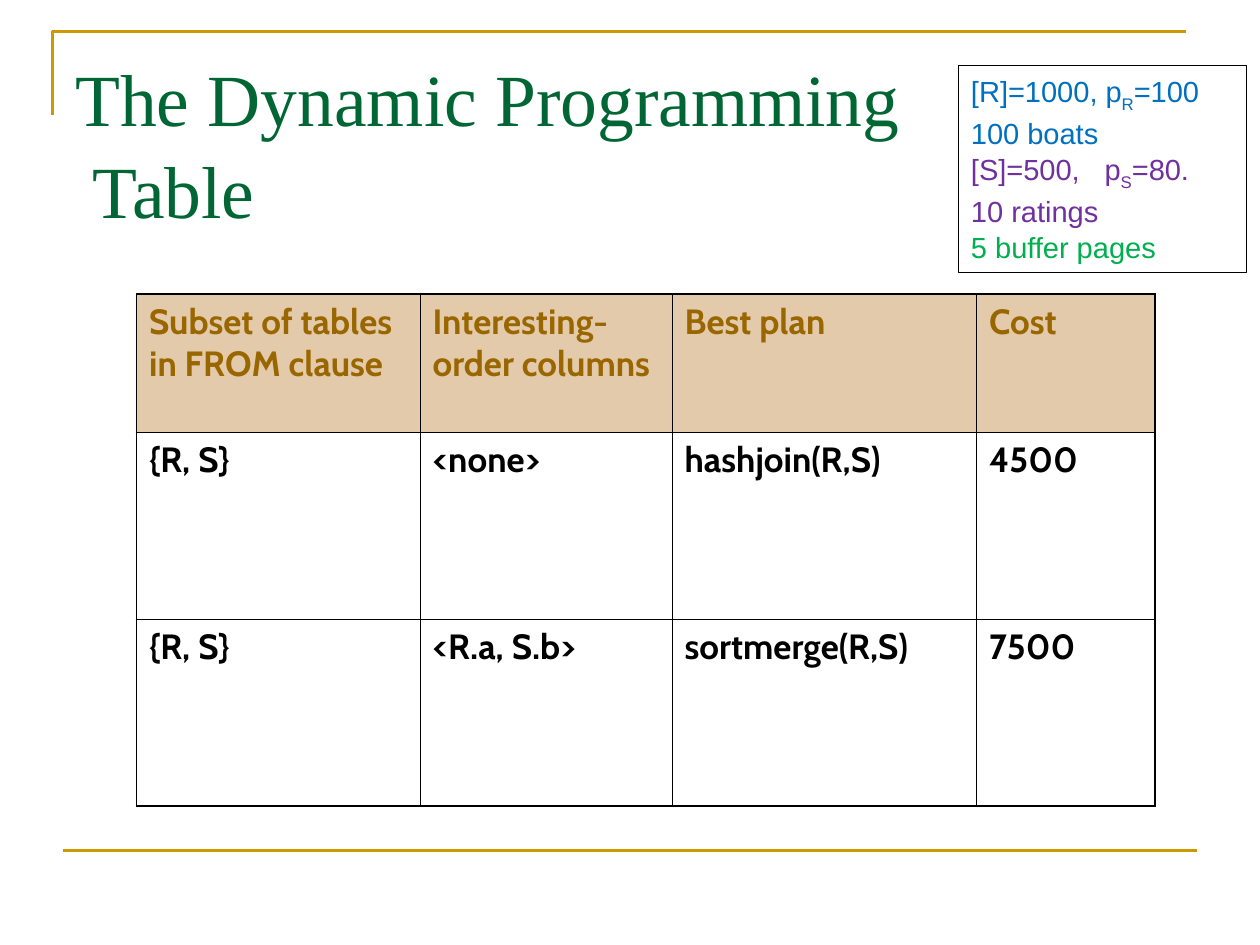
from collections import namedtuple

from lxml import etree
from pptx import Presentation
from pptx.dml.color import RGBColor
from pptx.enum.shapes import MSO_CONNECTOR, MSO_SHAPE
from pptx.enum.text import MSO_ANCHOR, PP_ALIGN
from pptx.oxml.ns import qn
from pptx.util import Inches, Pt

LEFT, TOP = PP_ALIGN.LEFT, MSO_ANCHOR.TOP
STRAIGHT, RECTANGLE = MSO_CONNECTOR.STRAIGHT, MSO_SHAPE.RECTANGLE

COLORS = {
    "gold": "CC9900", "title": "006633", "header": "996600", "tan": "E2CAAA",
    "black": "000000", "blue": "0070C0", "purple": "7030A0", "green": "00B050",
}
TITLE_FONT = {"name": "Times New Roman", "size": Pt(42), "bold": False}
TABLE_FONT = {"name": "Cabin", "size": Pt(20), "bold": True}
FACTS_FONT = {"name": "Arial", "size": Pt(16.6), "bold": False}
FRAME_FORMAT = {
    "word_wrap": True, "vertical_anchor": TOP,
    "margin_left": Inches(0.1), "margin_right": Inches(0.1),
    "margin_top": Inches(0.05), "margin_bottom": Inches(0.05),
}
THIN, THICK = 0.45, 1.08
COLUMN_WIDTHS = [27, 24, 29, 17]
ROW_HEIGHTS = [13.2, 17.8, 17.8]
PLANS = [
    ["Subset of tables in FROM clause", "Interesting-order columns", "Best plan", "Cost"],
    ["{R, S}", "<none>", "hashjoin(R,S)", "4500"],
    ["{R, S}", "<R.a, S.b>", "sortmerge(R,S)", "7500"],
]
FACTS = [
    ("blue", ["[R]=1000, p", "R", "=100"]),
    ("blue", ["100 boats"]),
    ("purple", ["[S]=500,\tp", "S", "=80."]),
    ("purple", ["10 ratings"]),
    ("green", ["5 buffer pages"]),
]
Box = namedtuple("Box", "left top width height")


def grid(units):
    """Convert grid units, 120 columns by 90 rows on the slide, to a length."""
    return Inches(units / 12)


def place(box):
    """Convert a box in grid units to slide lengths."""
    return [grid(value) for value in box]


def color(name):
    """Return a named colour."""
    return RGBColor.from_string(COLORS[name])


def apply_format(target, values):
    """Set each attribute in a dict of format values."""
    for name, value in values.items():
        setattr(target, name, value)


def style_line(line, name, width):
    """Give a line its colour and width."""
    line.color.rgb = color(name)
    line.width = Pt(width)


def add_text(paragraph, text, font, name):
    """Append a formatted run to a paragraph."""
    run = paragraph.add_run()
    run.text = text
    apply_format(run.font, font)
    run.font.color.rgb = color(name)
    return run


def add_frame_lines(slide, box):
    """Draw the corner bracket and the bottom rule."""
    right, bottom = box.left + box.width, box.top + box.height
    builder = slide.shapes.build_freeform(grid(box.left), grid(box.top + 8))
    builder.add_line_segments(
        [(grid(box.left), grid(box.top)), (grid(right), grid(box.top))], close=False)
    bracket = builder.convert_to_shape()
    bracket.shadow.inherit = False
    bracket.fill.background()
    rule = slide.shapes.add_connector(
        STRAIGHT, grid(box.left + 1), grid(bottom), grid(right + 1), grid(bottom))
    etree.SubElement(rule.element.spPr, qn("a:effectLst"))
    for shape in (bracket, rule):
        style_line(shape.line, "gold", 1.5)


def add_title(slide, box):
    """Write the slide title."""
    frame = slide.shapes.add_textbox(*place(box)).text_frame
    apply_format(frame, FRAME_FORMAT)
    paragraph = frame.paragraphs[0]
    apply_format(paragraph, {"alignment": LEFT, "line_spacing": 1.05})
    add_text(paragraph, "The Dynamic Programming", TITLE_FONT, "title")
    paragraph.add_line_break()
    add_text(paragraph, " Table", TITLE_FONT, "title")


def set_borders(cell, widths):
    """Draw the left, right, top and bottom borders of a cell."""
    properties = cell._tc.get_or_add_tcPr()
    for position, (side, width) in enumerate(zip("LRTB", widths)):
        border = etree.Element(qn(f"a:ln{side}"), w=str(Pt(width)))
        fill = etree.SubElement(border, qn("a:solidFill"))
        etree.SubElement(fill, qn("a:srgbClr"), val=COLORS["black"])
        properties.insert(position, border)


def add_plan_table(slide, box):
    """Build the table of best plans and costs."""
    last_row, last_column = len(ROW_HEIGHTS) - 1, len(COLUMN_WIDTHS) - 1
    table = slide.shapes.add_table(last_row + 1, last_column + 1, *place(box)).table
    apply_format(table, {"first_row": False, "horz_banding": False})
    for column, width in zip(table.columns, COLUMN_WIDTHS):
        column.width = grid(width)
    for row, height in zip(table.rows, ROW_HEIGHTS):
        row.height = grid(height)
    for i, texts in enumerate(PLANS):
        for j, text in enumerate(texts):
            cell = table.cell(i, j)
            apply_format(cell, {k: v for k, v in FRAME_FORMAT.items() if k != "word_wrap"})
            if i == 0:
                cell.fill.solid()
                cell.fill.fore_color.rgb = color("tan")
            else:
                cell.fill.background()
            outer = [j == 0, j == last_column, i == 0, i == last_row]
            set_borders(cell, [THICK if edge else THIN for edge in outer])
            paragraph = cell.text_frame.paragraphs[0]
            add_text(paragraph, text, TABLE_FONT, "black" if i else "header")


def add_facts_box(slide, box):
    """Build the outlined box of table statistics."""
    shape = slide.shapes.add_shape(RECTANGLE, *place(box))
    shape.shadow.inherit = False
    shape.fill.background()
    style_line(shape.line, "black", 0.75)
    frame = shape.text_frame
    apply_format(frame, FRAME_FORMAT)
    for i, (name, parts) in enumerate(FACTS):
        paragraph = frame.add_paragraph() if i else frame.paragraphs[0]
        apply_format(paragraph, {"alignment": LEFT, "line_spacing": 1.05})
        if "\t" in parts[0]:
            tabs = etree.SubElement(paragraph._p.get_or_add_pPr(), qn("a:tabLst"))
            etree.SubElement(tabs, qn("a:tab"), pos=str(Inches(1.06)), algn="l")
        for j, text in enumerate(parts):
            run = add_text(paragraph, text, FACTS_FONT, name)
            if j == 1:
                run.font._element.set("baseline", "-25000")


def main():
    """Build and save the slide."""
    presentation = Presentation()
    presentation.slide_width, presentation.slide_height = grid(120), grid(90)
    slide = presentation.slides.add_slide(presentation.slide_layouts[6])
    add_frame_lines(slide, Box(5, 3, 108, 78))
    add_title(slide, Box(6, 4, 108, 15))
    add_plan_table(slide, Box(13, 28, sum(COLUMN_WIDTHS), sum(ROW_HEIGHTS)))
    add_facts_box(slide, Box(91.3, 6.25, 27.4, 19.7))
    presentation.save("out.pptx")


if __name__ == "__main__":
    main()
